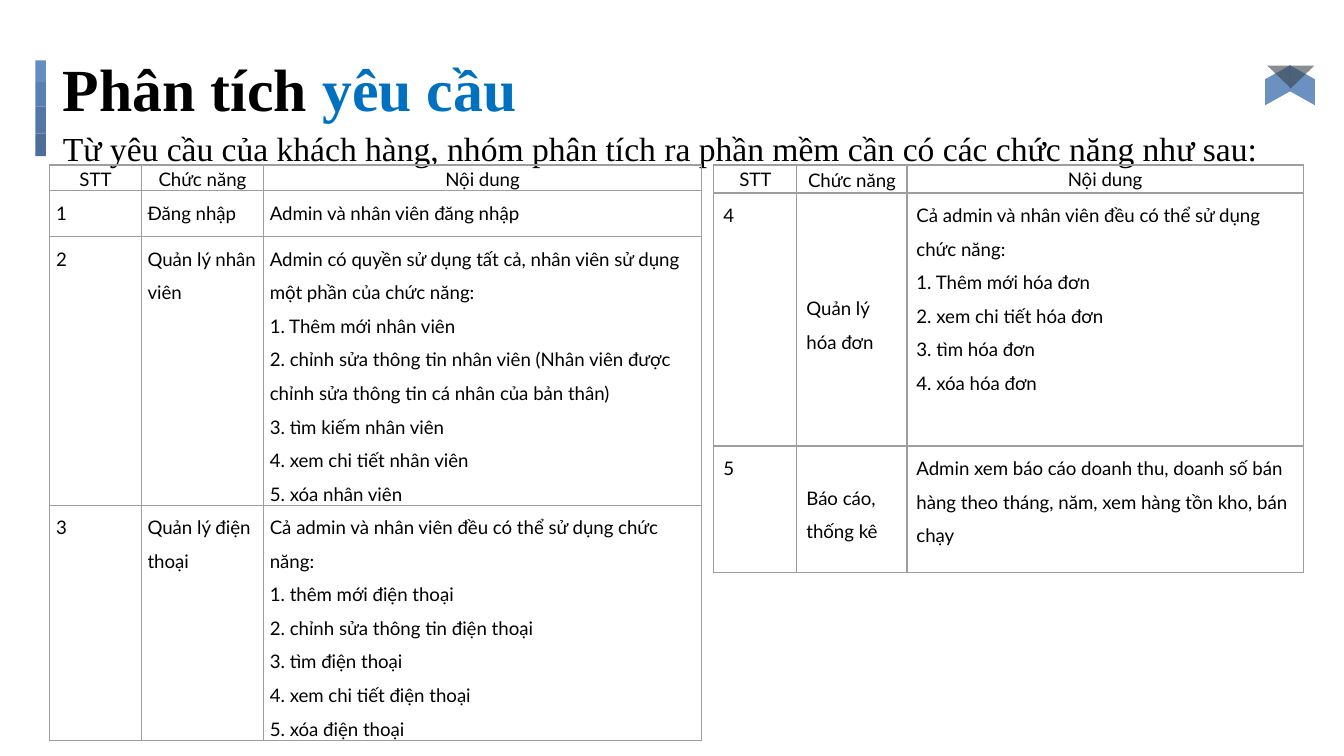
"""Build the requirements analysis slide with its two function tables."""
from lxml.etree import SubElement
from pptx import Presentation
from pptx.dml.color import RGBColor
from pptx.enum.shapes import MSO_SHAPE as SHAPE
from pptx.enum.text import MSO_ANCHOR as ANCHOR, MSO_AUTO_SIZE as AUTO, PP_ALIGN as ALIGN
from pptx.oxml.ns import qn
from pptx.util import Cm, Pt

BLACK = RGBColor(0x00, 0x00, 0x00)
BLUE = RGBColor(0x00, 0x70, 0xC0)
WING = RGBColor(0x5E, 0x85, 0xB9)
FOLD = RGBColor(0x38, 0x44, 0x4A)
BORDER = RGBColor(0x9E, 0x9E, 0x9E)
SERIF, SANS = "Times New Roman", "Lato"

TITLE = [("Phân tích ", BLACK), ("yêu cầu", BLUE)]
SUBTITLE = "Từ yêu cầu của khách hàng, nhóm phân tích ra phần mềm cần có các chức năng như sau:"
HEADER = ("STT", "Chức năng", ["Nội dung"])
LEFT_ROWS = [
    HEADER,
    ("1", "Đăng nhập", ["Admin và nhân viên đăng nhập"]),
    ("2", "Quản lý nhân viên", [
        "Admin có quyền sử dụng tất cả, nhân viên sử dụng một phần của chức năng:",
        "1. Thêm mới nhân viên",
        "2. chỉnh sửa thông tin nhân viên (Nhân viên được chỉnh sửa thông tin cá nhân của bản thân)",
        "3. tìm kiếm nhân viên",
        "4. xem chi tiết nhân viên",
        "5. xóa nhân viên"]),
    ("3", "Quản lý điện thoại", [
        "Cả admin và nhân viên đều có thể sử dụng chức năng:",
        "1. thêm mới điện thoại",
        "2. chỉnh sửa thông tin điện thoại",
        "3. tìm điện thoại",
        "4. xem chi tiết điện thoại",
        "5. xóa điện thoại"]),
]
RIGHT_ROWS = [
    HEADER,
    ("4", "Quản lý hóa đơn", [
        "Cả admin và nhân viên đều có thể sử dụng chức năng:",
        "1. Thêm mới hóa đơn",
        "2. xem chi tiết hóa đơn",
        "3. tìm hóa đơn",
        "4. xóa hóa đơn"]),
    ("5", "Báo cáo, thống kê", [
        "Admin xem báo cáo doanh thu, doanh số bán hàng theo tháng, năm, xem hàng tồn kho, bán chạy"]),
]
TABLES = [
    dict(rows=LEFT_ROWS, left=0.94, widths=(1.73, 2.31, 8.28),
         heights=(0.48, 0.87, 5.06, 4.44), inset=0.12, name_anchor=ANCHOR.TOP),
    dict(rows=RIGHT_ROWS, left=13.49, widths=(1.57, 2.08, 7.49),
         heights=(0.53, 4.78, 2.39), inset=0.18, name_anchor=ANCHOR.MIDDLE),
]
TABLE_TOP = 3.12
BAR = [(0.41, RGBColor(0x64, 0x8D, 0xC6)), (0.46, RGBColor(0x5A, 0x7F, 0xB3)),
       (0.51, RGBColor(0x54, 0x77, 0xA7)), (0.43, RGBColor(0x4E, 0x6E, 0x9A))]
BAR_CENTER, BAR_TOP, BAR_WIDTH = 0.77, 1.14, 0.2
EMBLEM = [
    (SHAPE.PARALLELOGRAM, (24.23, 1.37, 0.76, 0.48), 90, False, 0.56, WING, 91),
    (SHAPE.PARALLELOGRAM, (23.77, 1.37, 0.76, 0.48), 90, True, 0.56, WING, 91),
    (SHAPE.ISOSCELES_TRIANGLE, (23.95, 1.24, 0.89, 0.43), 180, False, 0.5, FOLD, 60),
]


def add_run(p, text, font, size, color, bold=False):
    r = p.add_run()
    r.text = text
    r.font.name, r.font.size, r.font.bold = font, Pt(size), bold
    r.font.color.rgb = color


def add_solid(s, kind, box, rotation, color):
    sp = s.shapes.add_shape(kind, *map(Cm, box))
    sp.shadow.inherit = False
    sp.rotation = rotation
    sp.fill.solid()
    sp.fill.fore_color.rgb = color
    sp.line.fill.background()
    return sp


def add_bar(s):
    top = BAR_TOP
    for length, color in BAR:
        box = (BAR_CENTER - length / 2, top + (length - BAR_WIDTH) / 2, length, BAR_WIDTH)
        add_solid(s, SHAPE.RECTANGLE, box, 270, color)
        top += length


def add_emblem(s):
    for kind, box, rotation, flipped, adjustment, color, opacity in EMBLEM:
        sp = add_solid(s, kind, box, rotation, color)
        sp.adjustments[0] = adjustment
        if flipped:
            sp.element.spPr.xfrm.set("flipH", "1")
        clr = sp.element.spPr.find(qn("a:solidFill")).find(qn("a:srgbClr"))
        SubElement(clr, qn("a:alpha"), val=str(opacity * 1000))


def format_frame(sp, box):
    sp.left, sp.top, sp.width, sp.height = map(Cm, box)
    tf = sp.text_frame
    tf.word_wrap, tf.auto_size, tf.vertical_anchor = True, AUTO.NONE, ANCHOR.TOP
    tf.margin_left = tf.margin_right = tf.margin_top = tf.margin_bottom = Cm(0.25)
    p = tf.paragraphs[0]
    p.alignment = ALIGN.LEFT
    return p


def add_headings(s):
    p = format_frame(s.shapes.title, (0.94, 0.64, 23.5, 1.6))
    p.line_spacing, p.space_before, p.space_after = 1.07, Pt(4), Pt(8)
    for text, color in TITLE:
        add_run(p, text, SERIF, 32, color, True)
    box = (-0.33, 1.78, 24.51, 1.6)
    p = format_frame(s.shapes.add_textbox(*map(Cm, box)), box)
    p.line_spacing = 1.5
    p._p.get_or_add_pPr().set("indent", str(Cm(1.27)))
    add_run(p, SUBTITLE, SERIF, 18, BLACK)


def set_borders(cell):
    tcPr = cell._tc.get_or_add_tcPr()
    for i, side in enumerate(("a:lnL", "a:lnR", "a:lnT", "a:lnB")):
        ln = tcPr.makeelement(qn(side), {"w": str(Pt(0.75))})
        SubElement(SubElement(ln, qn("a:solidFill")), qn("a:srgbClr"), val=str(BORDER))
        tcPr.insert(i, ln)


def fill_cell(cell, lines, is_header, inset, anchor):
    cell.fill.background()
    set_borders(cell)
    cell.margin_left = cell.margin_right = Cm(inset)
    cell.margin_top = cell.margin_bottom = 0
    cell.vertical_anchor = anchor
    tf = cell.text_frame
    for i, text in enumerate(lines):
        p = tf.add_paragraph() if i else tf.paragraphs[0]
        p.alignment = ALIGN.CENTER if is_header else ALIGN.LEFT
        p.line_spacing = 1.15 if is_header else 1.5
        add_run(p, text, SANS, 10, BLACK)


def add_function_table(s, rows, left, widths, heights, inset, name_anchor):
    size = (left, TABLE_TOP, sum(widths), sum(heights))
    table = s.shapes.add_table(len(rows), len(widths), *map(Cm, size)).table
    table.first_row = table.horz_banding = False
    for column, width in zip(table.columns, widths):
        column.width = Cm(width)
    for row, height, (number, name, content) in zip(table.rows, heights, rows):
        row.height = Cm(height)
        is_header = number == HEADER[0]
        anchors = (ANCHOR.TOP, name_anchor, ANCHOR.TOP)
        for cell, lines, anchor in zip(row.cells, ([number], [name], content), anchors):
            fill_cell(cell, lines, is_header, inset, anchor)


def main():
    prs = Presentation()
    prs.slide_width, prs.slide_height = Cm(25.4), Cm(14.29)
    s = prs.slides.add_slide(prs.slide_layouts[5])
    add_bar(s)
    add_headings(s)
    for spec_table in TABLES:
        add_function_table(s, **spec_table)
    add_emblem(s)
    prs.save("out.pptx")


if __name__ == "__main__":
    main()
